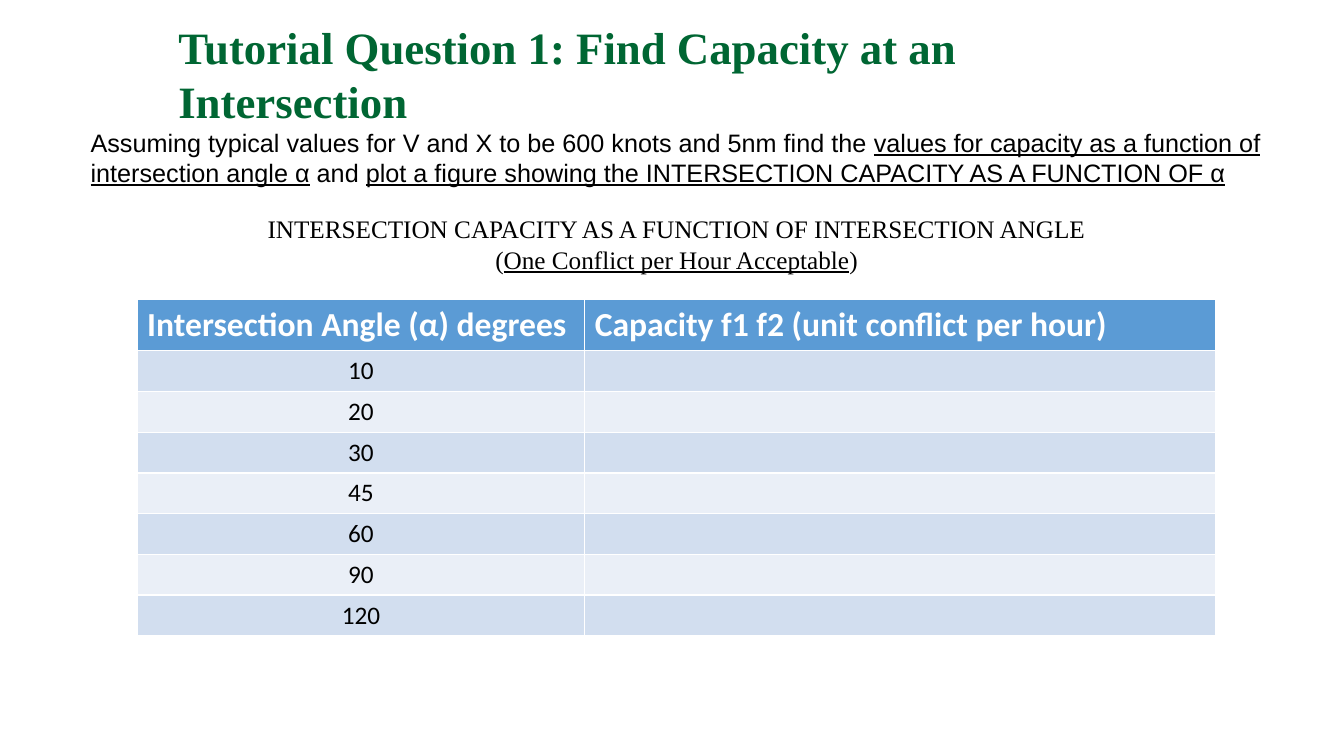
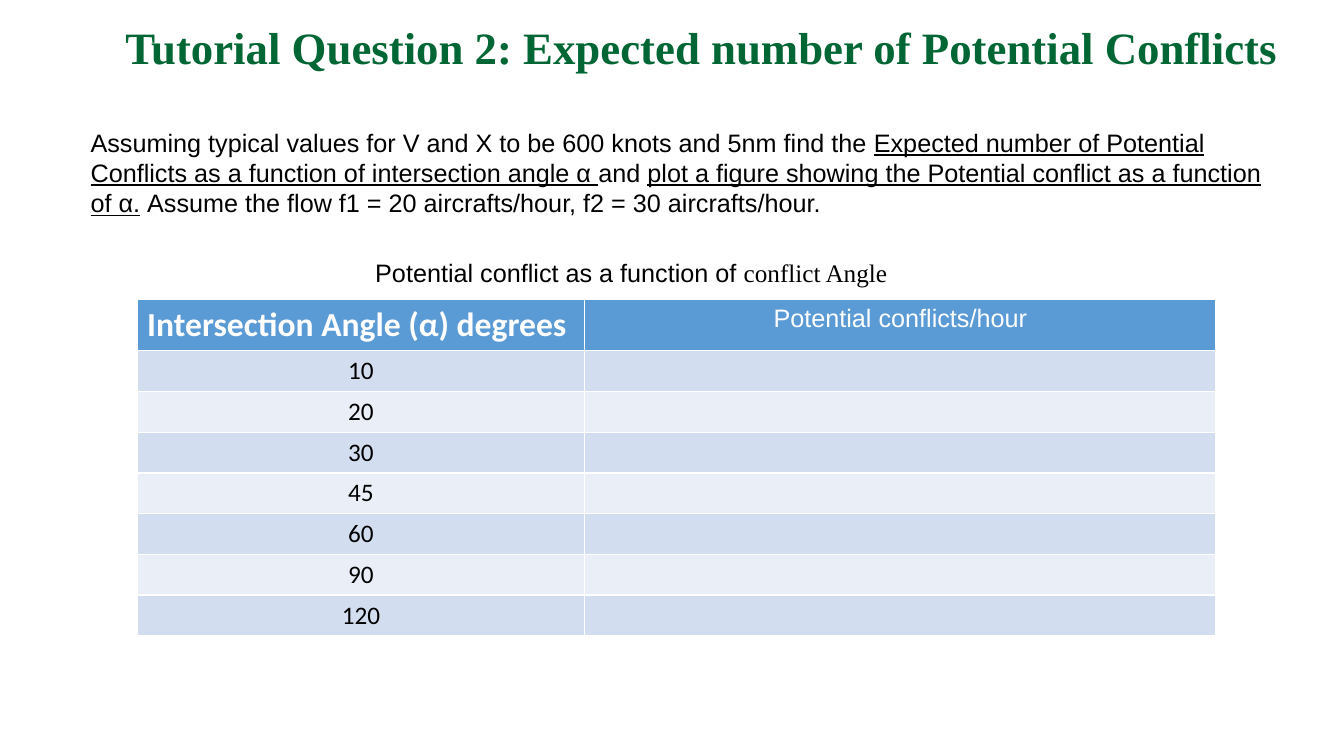
from pptx import Presentation
from pptx.dml.color import RGBColor
from pptx.enum.text import MSO_AUTO_SIZE, PP_ALIGN
from pptx.util import Inches

from pptx.util import Pt

COLORS = {"title": "006633", "text": "000000", "header": "5B9BD5",
          "header_text": "FFFFFF", "band_dark": "D2DEEF", "band_light": "EAEFF7"}
SERIF, SANS, TABLE_FONT = "Times New Roman", "Arial", "Calibri"
CENTER, LEFT = PP_ALIGN.CENTER, PP_ALIGN.LEFT

# Content: a paragraph is a list of (text, format) spans
UNDERLINED = {"underline": True}
IN_SERIF = {"font": SERIF}
ASSUMPTION = ("Assuming typical values for V and X to be 600 knots and 5nm find the ", {})
ANGLE_HEADER = "Intersection Angle (α) degrees"
ANGLES = [10, 20, 30, 45, 60, 90, 120]

QUESTIONS = [
    {
        "title": "Tutorial Question 1: Find Capacity at an Intersection",
        "title_box": (1.67, 0.15, 10.24, 0.64), "title_align": LEFT, "title_wrap": True,
        "task": [
            ASSUMPTION,
            ("values for capacity as a function of intersection angle α", UNDERLINED),
            (" and ", {}),
            ("plot a figure showing the INTERSECTION CAPACITY AS A FUNCTION OF α", UNDERLINED),
        ],
        "task_height": 0.71,
        "caption": [
            [("INTERSECTION CAPACITY AS A FUNCTION OF INTERSECTION ANGLE", IN_SERIF)],
            [("(", IN_SERIF),
             ("One Conflict per Hour Acceptable", {**IN_SERIF, **UNDERLINED}),
             (")", IN_SERIF)],
        ],
        "caption_box": (2.35, 2.07, 8.72, 0.71),
        "result_header": "Capacity f1 f2 (unit conflict per hour)",
        "result_align": LEFT,
        "result_format": {"font": TABLE_FONT, "size": 24, "bold": True},
    },
    {
        "title": "Tutorial Question 2: Expected number of Potential Conflicts",
        "title_box": (1.14, 0.15, 11.64, 0.64), "title_align": CENTER, "title_wrap": False,
        "task": [
            ASSUMPTION,
            ("Expected number of Potential Conflicts as a function of intersection angle α ",
             UNDERLINED),
            ("and ", {}),
            ("plot a figure showing the Potential conflict as a function of α.", UNDERLINED),
            (" Assume the flow f1 = 20 aircrafts/hour, f2 = 30 aircrafts/hour.", {}),
        ],
        "task_height": 1.01,
        "caption": [
            [("Potential conflict as a function of ", {}), ("conflict Angle", IN_SERIF)],
        ],
        "caption_box": (1.9, 2.5, 8.72, 0.4),
        "result_header": "Potential conflicts/hour",
        "result_align": CENTER,
        "result_format": {"font": SANS, "size": 18},
    },
]

# Shared layout, in inches
TASK_LEFT, TASK_TOP, TASK_WIDTH = 0.8, 1.21, 11.81
TABLE_LEFT, TABLE_TOP, TABLE_HEIGHT = 1.36, 2.97, 3.34
COLUMN_WIDTHS = (4.44, 6.26)
HEADER_HEIGHT = 0.51
ROW_HEIGHT = (TABLE_HEIGHT - HEADER_HEIGHT) / len(ANGLES)


def add_span(para, text, font=SANS, size=18, color="text", bold=False, underline=False):
    span = para.add_run()
    span.text = text
    span.font.name = font
    span.font.size = Pt(size)
    span.font.bold = bold
    span.font.underline = underline
    span.font.color.rgb = RGBColor.from_string(COLORS[color])


def add_text(page, place, paragraphs, align=LEFT, wrap=True):
    frame = page.shapes.add_textbox(*map(Inches, place)).text_frame
    frame.word_wrap = wrap
    frame.auto_size = MSO_AUTO_SIZE.SHAPE_TO_FIT_TEXT
    for index, spans in enumerate(paragraphs):
        para = frame.add_paragraph() if index else frame.paragraphs[0]
        para.alignment = align
        for text, style in spans:
            add_span(para, text, **style)


def fill_cell(cell, fill, text="", align=LEFT, **style):
    cell.fill.solid()
    cell.fill.fore_color.rgb = RGBColor.from_string(COLORS[fill])
    if text:
        para = cell.text_frame.paragraphs[0]
        para.alignment = align
        add_span(para, text, **style)


def add_angle_table(page, question):
    place = (TABLE_LEFT, TABLE_TOP, sum(COLUMN_WIDTHS), TABLE_HEIGHT)
    table = page.shapes.add_table(len(ANGLES) + 1, len(COLUMN_WIDTHS),
                                  *map(Inches, place)).table
    for column, width in zip(table.columns, COLUMN_WIDTHS):
        column.width = Inches(width)
    for index, row in enumerate(table.rows):
        row.height = Inches(ROW_HEIGHT if index else HEADER_HEIGHT)

    # Header row
    fill_cell(table.cell(0, 0), "header", ANGLE_HEADER, font=TABLE_FONT, size=24,
              bold=True, color="header_text")
    fill_cell(table.cell(0, 1), "header", question["result_header"],
              question["result_align"], color="header_text", **question["result_format"])

    # One banded row per angle, with the result left open
    for row, angle in enumerate(ANGLES, start=1):
        band = "band_dark" if row % 2 else "band_light"
        fill_cell(table.cell(row, 0), band, str(angle), CENTER, font=TABLE_FONT)
        fill_cell(table.cell(row, 1), band)


deck = Presentation()
deck.slide_width, deck.slide_height = Inches(13.33), Inches(7.5)
TITLE_STYLE = {"font": SERIF, "size": 32, "color": "title", "bold": True}

for question in QUESTIONS:
    page = deck.slides.add_slide(deck.slide_layouts[6])
    add_text(page, question["title_box"], [[(question["title"], TITLE_STYLE)]],
             question["title_align"], question["title_wrap"])
    add_text(page, (TASK_LEFT, TASK_TOP, TASK_WIDTH, question["task_height"]),
             [question["task"]])
    add_text(page, question["caption_box"], question["caption"], CENTER)
    add_angle_table(page, question)

deck.save("out.pptx")
